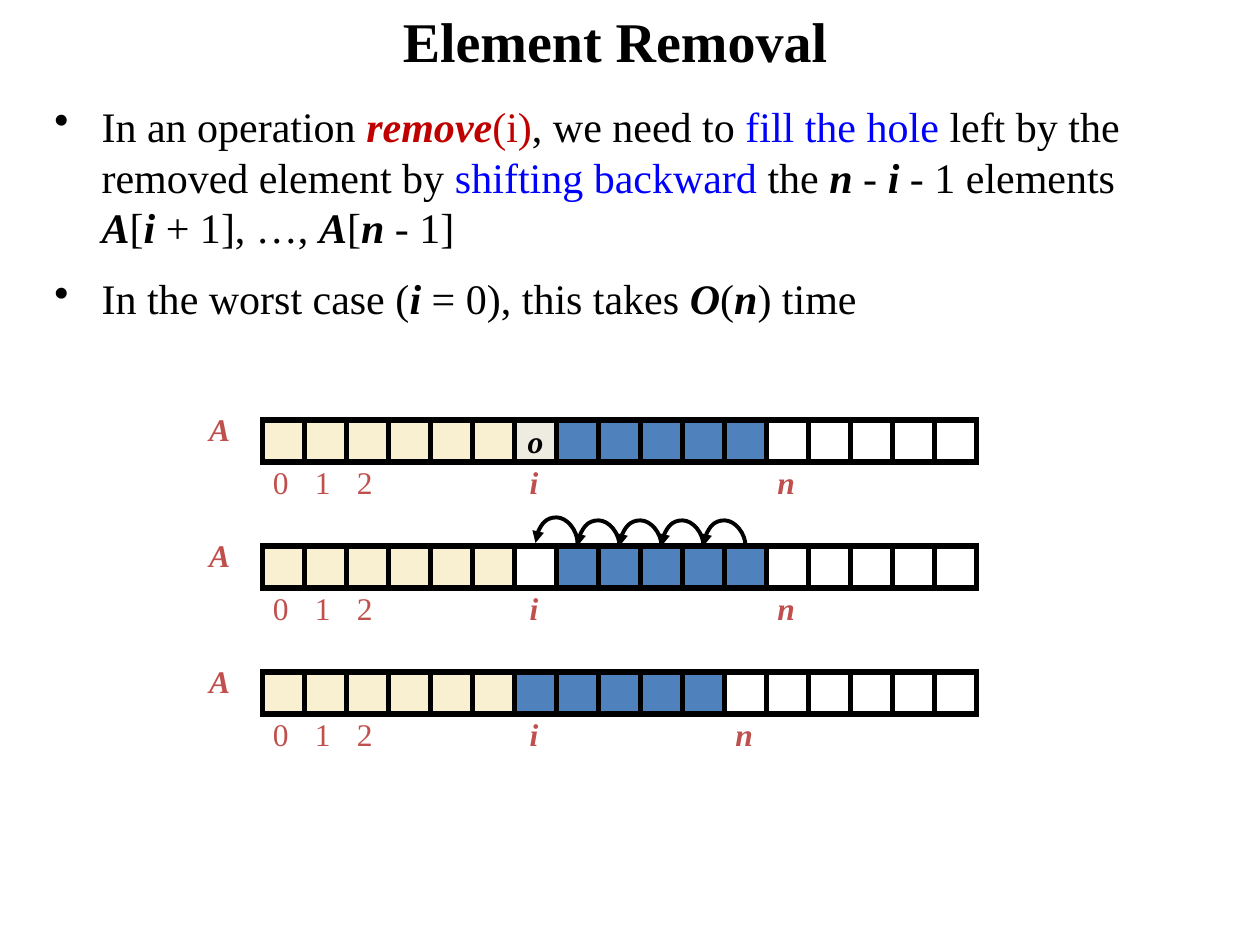
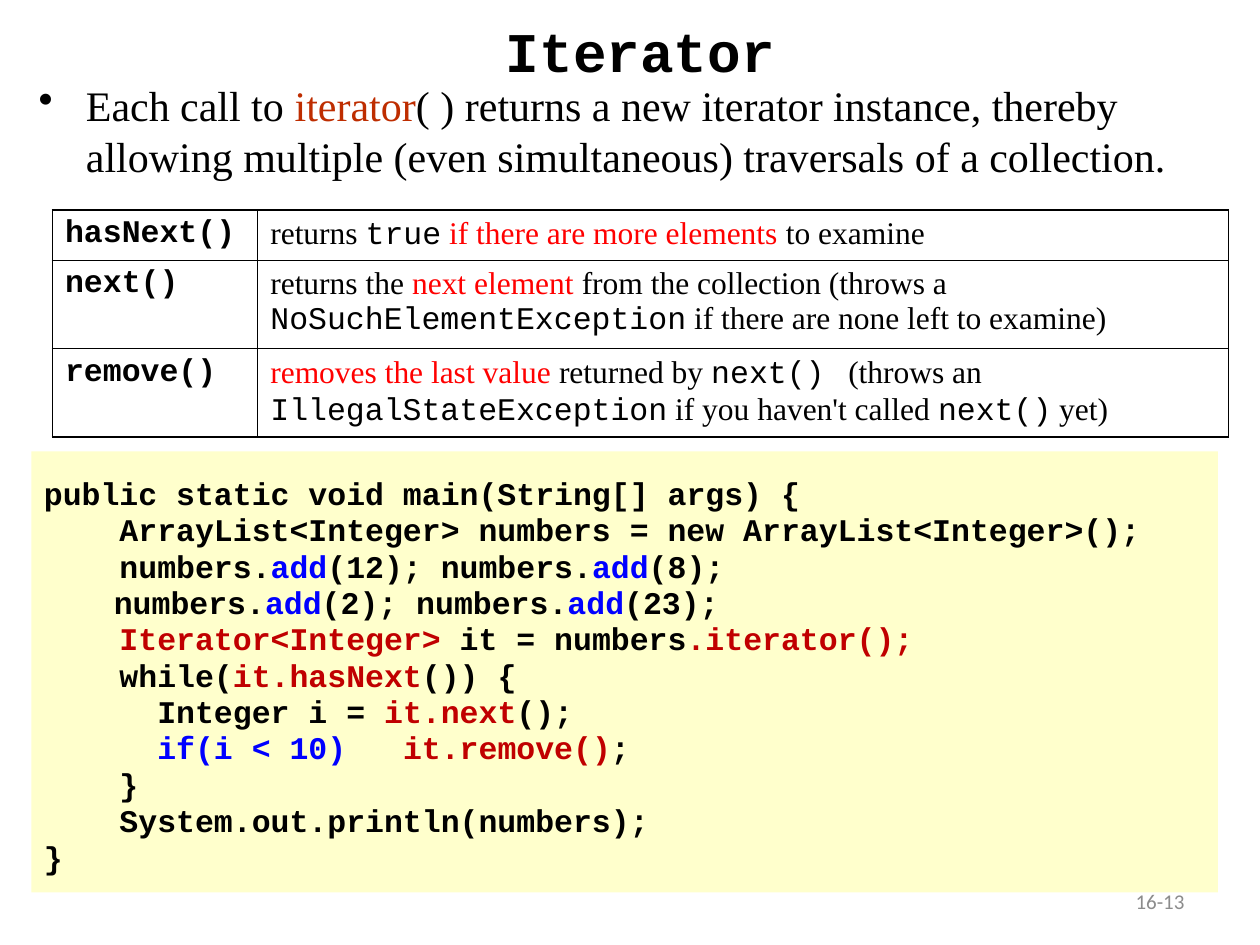
import pptx
import pptx.dml.color
import pptx.enum.shapes
import pptx.enum.text
import pptx.oxml.ns
import pptx.util
from lxml import etree

Pt = pptx.util.Pt
RGB = pptx.dml.color.RGBColor
qn = pptx.oxml.ns.qn
ALIGN = pptx.enum.text.PP_ALIGN
ANCHOR = pptx.enum.text.MSO_ANCHOR
SHAPE = pptx.enum.shapes.MSO_SHAPE
CONNECTOR = pptx.enum.shapes.MSO_CONNECTOR

BLACK, WHITE = RGB(0, 0, 0), RGB(255, 255, 255)
DARK_RED, RED, RUST = RGB(0xC0, 0, 0), RGB(0xFF, 0, 0), RGB(0xBE, 0x2D, 0)
BLUE, STEEL, LABEL = RGB(0, 0, 0xFF), RGB(0x4F, 0x81, 0xBD), RGB(0xC0, 0x50, 0x4D)
CREAM, PALE, NOTE = RGB(0xF8, 0xF0, 0xD0), RGB(0xEE, 0xEC, 0xE1), RGB(0xFF, 0xFF, 0xCC)
GREY = RGB(0x8C, 0x8C, 0x8C)
SERIF, MONO, SANS = "Times New Roman", "Courier New", "Calibri"

# Formats of text: a base for each kind of block, and changes for single runs
TITLE = dict(name=SERIF, size=Pt(32), bold=True, color=BLACK)
BODY = dict(name=SERIF, size=Pt(24), bold=False, italic=False, color=BLACK)
CELL = dict(BODY, size=Pt(18))
CODE = dict(name=MONO, size=Pt(18), bold=True, color=BLACK)
INDEX = dict(CELL, color=LABEL)
NUMBER = dict(name=SANS, size=Pt(12), color=GREY)
VAR = dict(bold=True, italic=True)
CALL = dict(VAR, color=DARK_RED)
DEEP, BLUES, REDS = dict(color=DARK_RED), dict(color=BLUE), dict(color=RED)
TT = dict(name=MONO)

# Content: a paragraph is a list of runs, each a string or (string, changes)
REMOVAL = [
    ["In an operation ", ("remove", CALL), ("(i)", DEEP), ", we need to ",
     ("fill the hole ", BLUES), "left by the removed element by ",
     ("shifting backward ", BLUES), "the ", ("n ", VAR), "- ", ("i ", VAR),
     "- 1 elements ", ("A", VAR), "[", ("i ", VAR), "+ 1], …, ", ("A", VAR),
     "[", ("n ", VAR), "- 1]"],
    ["In the worst case (", ("i ", VAR), "= 0), this takes ", ("O", VAR), "(",
     ("n", VAR), ") time"],
]
# Each array: runs of equal cells, and the position of n
ARRAYS = [
    ([(CREAM, 6), (PALE, 1), (STEEL, 5), (WHITE, 5)], 12),
    ([(CREAM, 6), (WHITE, 1), (STEEL, 5), (WHITE, 5)], 12),
    ([(CREAM, 6), (STEEL, 5), (WHITE, 6)], 11),
]
HOLE = 6      # position i
SHIFTS = 5    # elements moved back by one

ITERATOR = [["Each call to ", ("iterator", dict(color=RUST)),
             "( ) returns a new iterator instance, thereby allowing multiple "
             "(even simultaneous) traversals of a collection."]]
METHODS = [
    ("hasNext()", ["returns ", ("true", TT), (" if there are more elements ", REDS),
                   "to examine"]),
    ("next()", ["returns the ", ("next element ", REDS),
                "from the collection (throws a ", ("NoSuchElementException", TT),
                " if there are none left to examine)"]),
    ("remove()", [("removes the last value ", REDS), "returned by ", ("next()", TT),
                  (" ", dict(spread=9)), "(throws an ",
                  ("IllegalStateException", TT), " if you haven't called ",
                  ("next()", TT), " yet)"]),
]
# Each code line: its indent in points, then its runs
CHAR = 10.8
STEP, DEEPER = 4 * CHAR, 6 * CHAR
PROGRAM = [
    (0, ["public static void main(String[] args) {"]),
    (STEP, ["ArrayList<Integer> numbers = new ArrayList<Integer>();"]),
    (STEP, ["numbers.", ("add", BLUES), "(12); numbers.", ("add", BLUES), "(8);"]),
    (40, ["numbers.", ("add", BLUES), "(2); numbers.", ("add", BLUES), "(23);"]),
    (STEP, [("Iterator<Integer> ", DEEP), "it = numbers", (".iterator();", DEEP)]),
    (STEP, ["while(", ("it.hasNext", DEEP), "()) {"]),
    (DEEPER, ["Integer i = ", ("it.next", DEEP), "();"]),
    (DEEPER, [("if(i < 10)", BLUES), (" ", dict(spread=2 * CHAR)),
              ("it.remove()", DEEP), ";"]),
    (STEP, ["}"]),
    (STEP, ["System.out.println(numbers);"]),
    (0, ["}"]),
]


def box(left, top, width, height):
    """Turn a place in points into lengths."""
    return Pt(left), Pt(top), Pt(width), Pt(height)


def write(p, runs, base):
    """Add runs to a paragraph, each with the base format and its changes."""
    for run in runs:
        text, changes = (run, {}) if isinstance(run, str) else run
        r = p.add_run()
        r.text = text
        for key, value in {**base, **changes}.items():
            if key == "color":
                r.font.color.rgb = value
            elif key == "spread":
                r._r.get_or_add_rPr().set("spc", str(round(value * 100)))
            else:
                setattr(r.font, key, value)


def frame(tf, **settings):
    """Wrap the text, keep the frame's size, and apply further settings."""
    defaults = dict(word_wrap=True, auto_size=pptx.enum.text.MSO_AUTO_SIZE.NONE,
                    vertical_anchor=ANCHOR.TOP)
    for key, value in {**defaults, **settings}.items():
        setattr(tf, key, value)
    return tf


def bare(tf, **settings):
    """Set up a frame without insets."""
    sides = ("margin_left", "margin_top", "margin_right", "margin_bottom")
    return frame(tf, **dict.fromkeys(sides, 0), **settings)


def indent(p, left, first=0):
    """Set a paragraph's left margin and first line indent; return its pPr."""
    pPr = p._p.get_or_add_pPr()
    pPr.set("marL", str(Pt(left)))
    pPr.set("indent", str(Pt(first)))
    return pPr


def add_slide(prs, title, place, **changes):
    """Add a slide with its title formatted and placed."""
    slide = prs.slides.add_slide(prs.slide_layouts[5])
    sp = slide.shapes.title
    sp.left, sp.top, sp.width, sp.height = box(*place)
    p = frame(sp.text_frame, margin_top=Pt(3.6), margin_bottom=0).paragraphs[0]
    p.alignment = ALIGN.CENTER
    write(p, [title], {**TITLE, **changes})
    return slide


def add_bullets(slide, place, items):
    """Add a text box of bulleted paragraphs."""
    tf = frame(slide.shapes.add_textbox(*box(*place)).text_frame)
    for k, runs in enumerate(items):
        p = tf.add_paragraph() if k else tf.paragraphs[0]
        p.line_spacing = 1.0
        p.space_before = Pt(12 if k else 0)
        pPr = indent(p, 27, -27)
        etree.SubElement(pPr, qn("a:buChar")).set("char", "•")
        write(p, runs, BODY)


def add_label(shapes, text, place, align=ALIGN.CENTER, style=VAR):
    """Add one label of an array."""
    p = bare(shapes.add_textbox(*box(*place)).text_frame).paragraphs[0]
    p.alignment = align
    write(p, [(text, style)], INDEX)


def add_rect(shapes, place, fill, line=None):
    """Add a plain rectangle, with a sharp black line if a width is given."""
    sp = shapes.add_shape(SHAPE.RECTANGLE, *box(*place))
    sp.shadow.inherit = False
    sp.fill.solid()
    sp.fill.fore_color.rgb = fill
    if line:
        sp.line.color.rgb = BLACK
        sp.line.width = Pt(line)
        ln = sp.element.spPr.find(qn("a:ln"))
        etree.SubElement(ln, qn("a:miter")).set("lim", "800000")
    else:
        sp.line.fill.background()
    return sp


def add_array(slide, left, top, side, spans, end):
    """Add one array of cells with its labels, as a group."""
    shapes = slide.shapes.add_group_shape().shapes
    add_label(shapes, "A", (left - 36, top - 5.5, 23, 21.6))
    for k in range(3):
        add_label(shapes, str(k), (left + 6 + k * side, top + 24.7, 9.4, 21.6),
                  ALIGN.LEFT, {})
    for text, k in (("i", HOLE), ("n", end)):
        add_label(shapes, text, (left + k * side, top + 24.7, 22.3, 21.6))
    fills = [fill for fill, count in spans for _ in range(count)]
    for k, fill in enumerate(fills):
        sp = add_rect(shapes, (left + k * side, top, side, side), fill, 3)
        if fill == PALE:
            tf = bare(sp.text_frame, word_wrap=False, vertical_anchor=ANCHOR.MIDDLE)
            tf.paragraphs[0].alignment = ALIGN.CENTER
            write(tf.paragraphs[0], [("o", VAR)], CELL)


def add_arc(slide, center, y, span):
    """Add a curved arrow that rises above y and points down at its left end."""
    flat, rise = 0.13, -103    # thickness of the turned box, bend as its multiple
    c = slide.shapes.add_connector(
        CONNECTOR.CURVE, Pt(center - flat / 2), Pt(y + span / 2),
        Pt(center + flat / 2), Pt(y - span / 2))
    c.line.color.rgb = BLACK
    c.line.width = Pt(2.25)
    spPr = c.element.spPr
    spPr.find(qn("a:xfrm")).set("rot", "5400000")
    guides = spPr.find(qn("a:prstGeom")).find(qn("a:avLst"))
    gd = etree.SubElement(guides, qn("a:gd"))
    gd.set("name", "adj1")
    gd.set("fmla", f"val {rise * 100000}")
    etree.SubElement(spPr.find(qn("a:ln")), qn("a:headEnd")).set("type", "triangle")
    etree.SubElement(spPr, qn("a:effectLst"))


def add_borders(cell):
    """Draw a thin black line on every side of a cell."""
    tcPr = cell._tc.get_or_add_tcPr()
    for k, side in enumerate(("lnL", "lnR", "lnT", "lnB")):
        ln = etree.Element(qn("a:" + side))
        ln.set("w", str(Pt(1)))
        fill = etree.SubElement(ln, qn("a:solidFill"))
        etree.SubElement(fill, qn("a:srgbClr")).set("val", str(BLACK))
        tcPr.insert(k, ln)


def add_methods(slide, left, top, widths, heights):
    """Add the table of methods and their meaning."""
    table = slide.shapes.add_table(
        len(heights), len(widths),
        *box(left, top, sum(widths), sum(heights))).table
    table.first_row = table.horz_banding = False
    for column, width in zip(table.columns, widths):
        column.width = Pt(width)
    for row, height, (name, meaning) in zip(table.rows, heights, METHODS):
        row.height = Pt(height)
        for cell, runs, base in zip(row.cells, ([name], meaning), (CODE, CELL)):
            cell.fill.background()
            add_borders(cell)
            write(cell.text_frame.paragraphs[0], runs, base)


def add_program(slide, place):
    """Add the program on its coloured panel."""
    sp = add_rect(slide.shapes, place, NOTE)
    tf = frame(sp.text_frame, margin_top=Pt(17))
    for k, (left, runs) in enumerate(PROGRAM):
        p = tf.add_paragraph() if k else tf.paragraphs[0]
        p.alignment = ALIGN.LEFT
        p.line_spacing = 0.8
        p.space_before = Pt(3.5 if k else 0)
        indent(p, left)
        write(p, runs, CODE)


prs = pptx.Presentation()
prs.slide_width, prs.slide_height = Pt(720), Pt(540)

slide = add_slide(prs, "Element Removal", (39.6, 0, 624, 42))
add_bullets(slide, (24, 54, 648, 126), REMOVAL)
LEFT, TOP, SIDE, PITCH = 150, 240, 24, 72
for k, (spans, end) in enumerate(ARRAYS):
    add_array(slide, LEFT, TOP + k * PITCH, SIDE, spans, end)
for k in range(SHIFTS):
    add_arc(slide, LEFT + (HOLE + 1 + k) * SIDE, TOP + PITCH - (0 if k else 1.7), SIDE)

slide = add_slide(prs, "Iterator", (54, 6, 624, 36), name=MONO)
add_bullets(slide, (15, 42, 702, 78), ITERATOR)
add_methods(slide, 30, 120, (117.3, 554.7), (28.8, 50.4, 50.4))
add_program(slide, (18, 258, 678, 252))
tf = frame(slide.shapes.add_textbox(*box(516, 500.5, 168, 28.8)).text_frame,
           vertical_anchor=ANCHOR.MIDDLE)
tf.paragraphs[0].alignment = ALIGN.RIGHT
write(tf.paragraphs[0], ["16-13"], NUMBER)

prs.save("out.pptx")
